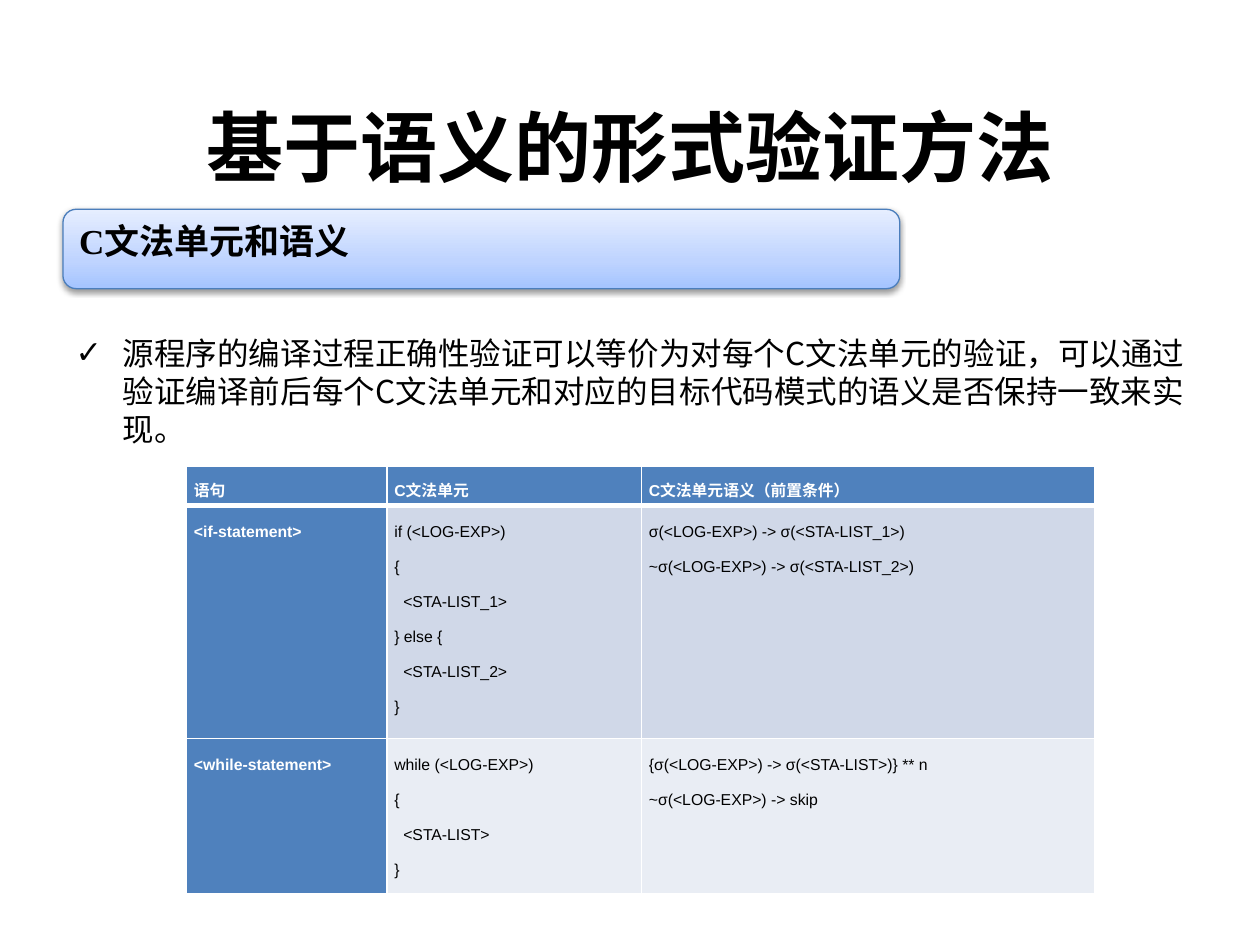
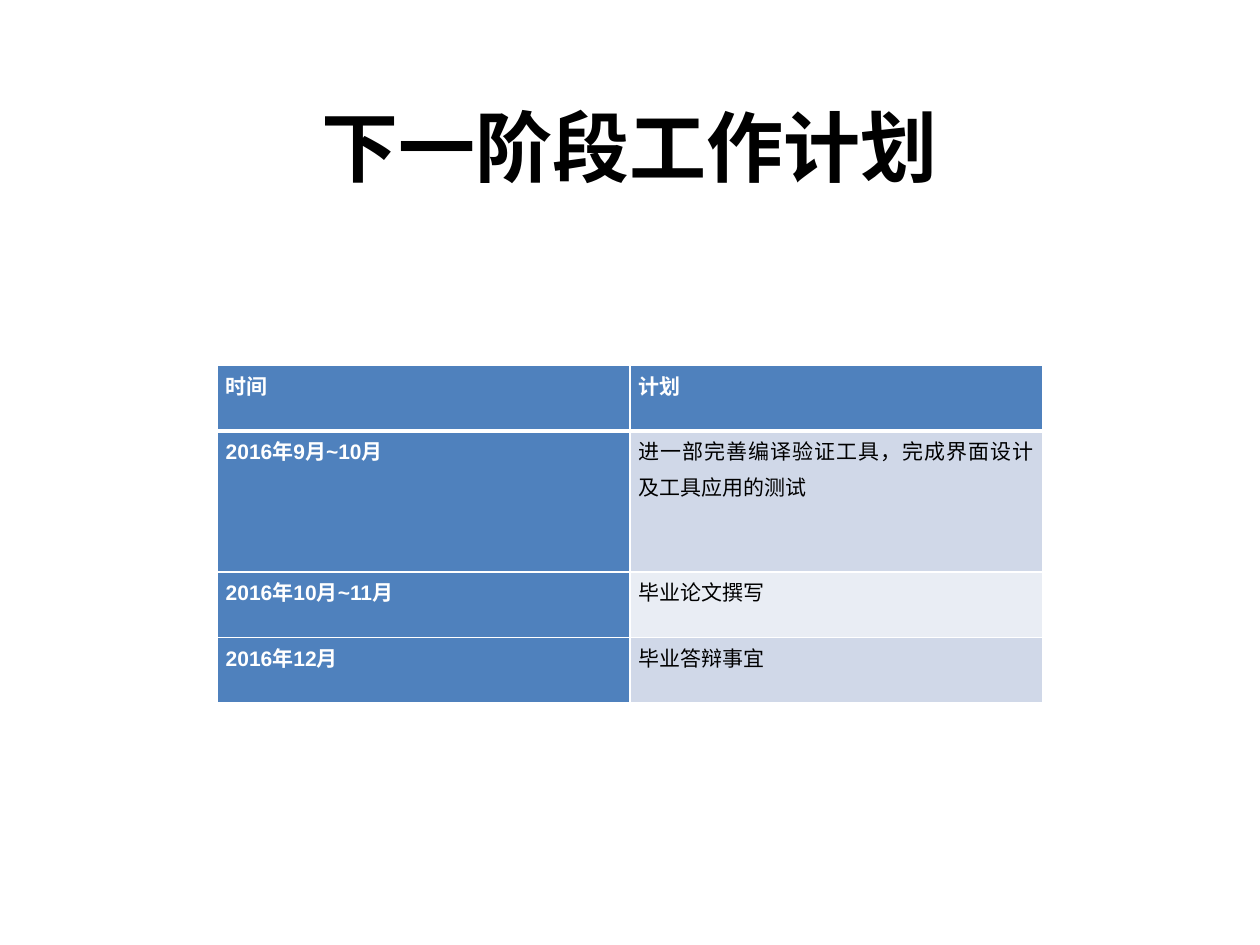
from dataclasses import dataclass

from lxml.etree import SubElement
from pptx import Presentation
from pptx.dml.color import RGBColor
from pptx.enum.shapes import MSO_SHAPE as Preset
from pptx.enum.text import MSO_ANCHOR as Anchor, MSO_AUTO_SIZE as AutoSize, PP_ALIGN as Align
from pptx.oxml import parse_xml
from pptx.oxml.ns import nsdecls, qn
from pptx.util import Cm, Pt


@dataclass(frozen=True)
class Theme:
    black: str = "000000"
    white: str = "FFFFFF"
    header: str = "4F81BD"
    bands: tuple = ("D0D8E8", "E9EDF4")
    banner_line: str = "4B7EBC"
    banner_stops: tuple = ((0, "A4C4FF"), (35, "BFD4FF"), (100, "E6EEFF"))
    chinese: str = "Noto Sans CJK SC"
    latin: str = "Arial"
    serif: str = "Times New Roman"
    title_size: int = 44
    banner_size: int = 20
    body_size: int = 18
    plan_size: int = 12
    grammar_size: int = 9


@dataclass(frozen=True)
class Box:
    left: float
    top: float
    width: float
    height: float

    def place(self, shape):
        shape.left, shape.top = Cm(self.left), Cm(self.top)
        shape.width, shape.height = Cm(self.width), Cm(self.height)


class Inner(str):
    """A statement line nested inside braces."""


THEME = Theme()
TITLE_BOX = Box(1.27, 1.93, 22.86, 2.01)
BODY_BOX = Box(1.27, 4.22, 22.86, 13.79)
BANNER_BOX = Box(1.27, 4.22, 16.87, 1.6)
GRAMMAR_BOX = Box(3.76, 9.4, 18.31, 8.61)
PLAN_BOX = Box(4.37, 7.37, 16.66, 6.8)

GRAMMAR_ROWS = [
    ["语句", "C文法单元", "C文法单元语义（前置条件）"],
    [
        "<if-statement>",
        ["if (<LOG-EXP>)", "{", Inner("<STA-LIST_1>"), "} else {", Inner("<STA-LIST_2>"), "}"],
        ["σ(<LOG-EXP>) -> σ(<STA-LIST_1>)", "~σ(<LOG-EXP>) -> σ(<STA-LIST_2>)"],
    ],
    [
        "<while-statement>",
        ["while (<LOG-EXP>)", "{", Inner("<STA-LIST>"), "}"],
        ["{σ(<LOG-EXP>) -> σ(<STA-LIST>)} ** n", "~σ(<LOG-EXP>) -> skip"],
    ],
]
PLAN_ROWS = [
    ["时间", "计划"],
    ["2016年9月~10月", "进一部完善编译验证工具，完成界面设计及工具应用的测试"],
    ["2016年10月~11月", "毕业论文撰写"],
    ["2016年12月", "毕业答辩事宜"],
]


def format_runs(paragraph, size, font, color=THEME.black, bold=False):
    for run in paragraph.runs:
        run.font.size = Pt(size)
        run.font.name = font
        run.font.bold = bold
        run.font.color.rgb = RGBColor.from_string(color)
        SubElement(run.font._element, qn("a:ea")).set("typeface", THEME.chinese)


def add_title(slide, box, text):
    title = slide.shapes.title
    box.place(title)
    frame = title.text_frame
    frame.text = text
    frame.auto_size = AutoSize.NONE
    frame.vertical_anchor = Anchor.MIDDLE
    frame.paragraphs[0].alignment = Align.CENTER
    format_runs(frame.paragraphs[0], THEME.title_size, THEME.chinese, bold=True)


def add_checked_body(slide, box, text):
    body = slide.placeholders[1]
    box.place(body)
    frame = body.text_frame
    frame.text = text
    frame.auto_size = AutoSize.NONE
    frame.margin_top = Cm(2.51)
    paragraph = frame.paragraphs[0]
    paragraph.alignment = Align.JUSTIFY
    paragraph.line_spacing = Pt(21.7)
    paragraph.space_before = Pt(0)
    properties = paragraph._p.get_or_add_pPr()
    properties.set("marL", str(Cm(0.95)))
    properties.set("indent", str(-Cm(0.95)))
    SubElement(properties, qn("a:buFont")).set("typeface", "Wingdings")
    SubElement(properties, qn("a:buChar")).set("char", "✓")
    properties.find(qn("a:buFont")).set("typeface", THEME.latin)
    format_runs(paragraph, THEME.body_size, THEME.chinese)


def add_banner(slide, box, text):
    banner = slide.shapes.add_shape(Preset.ROUNDED_RECTANGLE, 0, 0, 0, 0)
    box.place(banner)
    banner.line.color.rgb = RGBColor.from_string(THEME.banner_line)
    banner.line.width = Pt(0.75)
    stops = "".join(
        f'<a:gs pos="{position * 1000}"><a:srgbClr val="{color}"/></a:gs>'
        for position, color in THEME.banner_stops
    )
    gradient = parse_xml(
        f'<a:gradFill {nsdecls("a")} rotWithShape="1"><a:gsLst>{stops}</a:gsLst>'
        '<a:lin ang="16200000" scaled="0"/></a:gradFill>'
    )
    shadow = parse_xml(
        f'<a:effectLst {nsdecls("a")}><a:outerShdw blurRad="40000" dist="20000" '
        f'dir="5400000" rotWithShape="0"><a:srgbClr val="{THEME.black}">'
        '<a:alpha val="38000"/></a:srgbClr></a:outerShdw></a:effectLst>'
    )
    properties = banner._element.spPr
    properties.find(qn("a:prstGeom")).addnext(gradient)
    properties.append(shadow)
    frame = banner.text_frame
    frame.text = text
    frame.word_wrap = True
    frame.vertical_anchor = Anchor.TOP
    frame.paragraphs[0].alignment = Align.LEFT
    format_runs(frame.paragraphs[0], THEME.banner_size, THEME.serif, bold=True)


def set_borders(cell, row_index):
    widths = {
        "L": 1,
        "R": 1,
        "T": 3 if row_index == 1 else 1,
        "B": 3 if row_index == 0 else 1,
    }
    properties = cell._tc.get_or_add_tcPr()
    for side, width in widths.items():
        properties.append(parse_xml(
            f'<a:ln{side} {nsdecls("a")} w="{Pt(width)}"><a:solidFill>'
            f'<a:srgbClr val="{THEME.white}"/></a:solidFill></a:ln{side}>'
        ))


def fill_cell(cell, lines, size, inset, alignment, is_heading):
    cell.margin_left = cell.margin_right = Cm(inset)
    cell.margin_top = cell.margin_bottom = 0
    cell.vertical_anchor = Anchor.TOP
    frame = cell.text_frame
    for index, line in enumerate(lines):
        paragraph = frame.add_paragraph() if index else frame.paragraphs[0]
        paragraph.text = line
        paragraph.alignment = alignment
        paragraph.line_spacing = Pt(20)
        if isinstance(line, Inner):
            paragraph._p.get_or_add_pPr().set("marL", str(Cm(0.18)))
        color = THEME.white if is_heading else THEME.black
        format_runs(paragraph, size, THEME.latin, color, is_heading)


def add_banded_table(slide, box, rows, widths, heights, size, inset, header_align):
    frame = slide.shapes.add_table(len(rows), len(widths), 0, 0, 0, 0)
    box.place(frame)
    table = frame.table
    table.horz_banding = False
    for column, width in zip(table.columns, widths):
        column.width = Cm(width)
    for row_index, (contents, height) in enumerate(zip(rows, heights)):
        table.rows[row_index].height = Cm(height)
        alignment = Align.JUSTIFY if row_index else header_align
        for column_index, content in enumerate(contents):
            cell = table.cell(row_index, column_index)
            is_heading = row_index == 0 or column_index == 0
            lines = content if isinstance(content, list) else [content]
            fill_cell(cell, lines, size, inset, alignment, is_heading)
            set_borders(cell, row_index)
            color = THEME.header if is_heading else THEME.bands[(row_index - 1) % 2]
            cell.fill.solid()
            cell.fill.fore_color.rgb = RGBColor.from_string(color)


def build_grammar_slide(presentation):
    slide = presentation.slides.add_slide(presentation.slide_layouts[1])
    add_title(slide, TITLE_BOX, "基于语义的形式验证方法")
    add_checked_body(
        slide, BODY_BOX,
        "源程序的编译过程正确性验证可以等价为对每个C文法单元的验证，可以通过验证编译前后"
        "每个C文法单元和对应的目标代码模式的语义是否保持一致来实现。",
    )
    add_banner(slide, BANNER_BOX, "C文法单元和语义")
    add_banded_table(
        slide, GRAMMAR_BOX, GRAMMAR_ROWS, [4.04, 5.13, 9.14], [0.79, 4.7, 3.12],
        THEME.grammar_size, 0.15, Align.LEFT,
    )


def build_plan_slide(presentation):
    slide = presentation.slides.add_slide(presentation.slide_layouts[5])
    add_title(slide, TITLE_BOX, "下一阶段工作计划")
    add_banded_table(
        slide, PLAN_BOX, PLAN_ROWS, [PLAN_BOX.width / 2] * 2, [1.32, 2.84, 1.32, 1.32],
        THEME.plan_size, 0.18, Align.JUSTIFY,
    )


def main():
    presentation = Presentation()
    presentation.slide_width, presentation.slide_height = Cm(25.4), Cm(19.05)
    build_grammar_slide(presentation)
    build_plan_slide(presentation)
    presentation.save("out.pptx")


if __name__ == "__main__":
    main()
